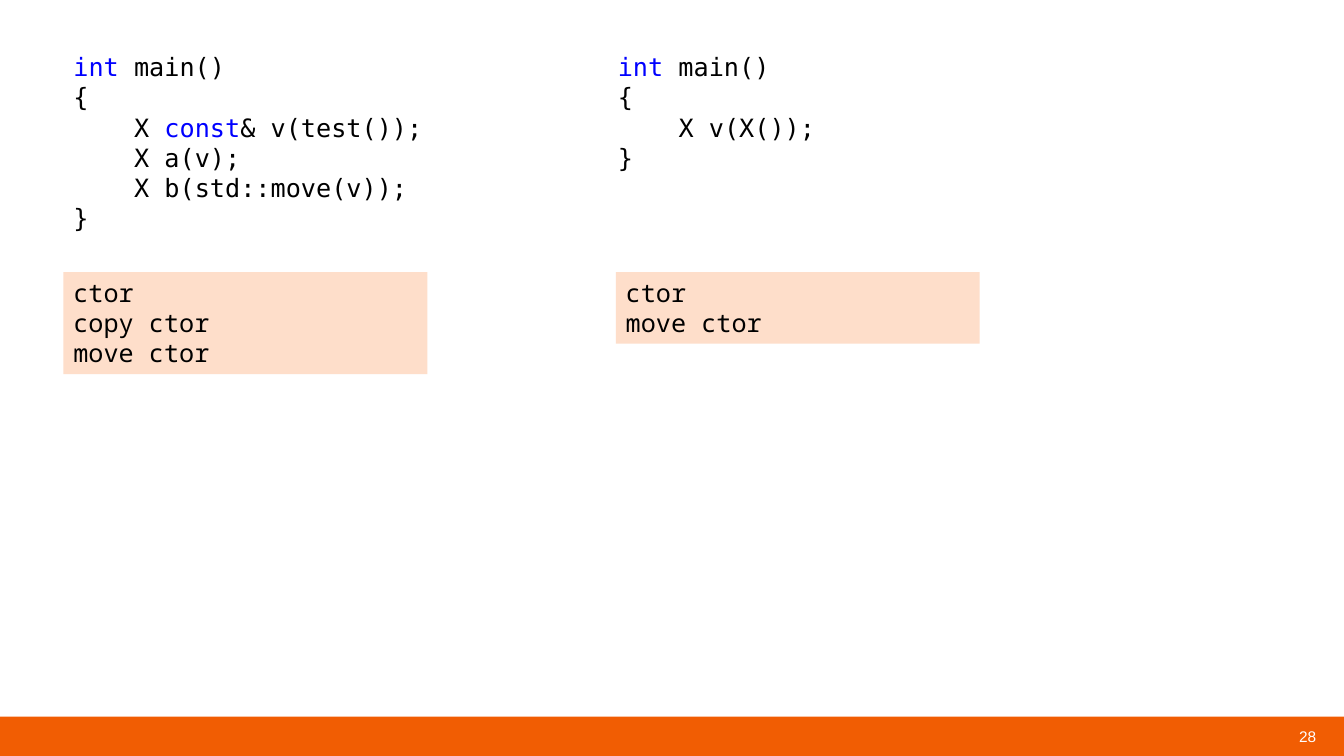
from pptx import Presentation
from pptx.dml.color import RGBColor
from pptx.enum.shapes import MSO_SHAPE
from pptx.enum.text import MSO_ANCHOR, MSO_AUTO_SIZE, PP_ALIGN
from pptx.util import Cm, Pt

RECT = MSO_SHAPE.RECTANGLE
TOP, MIDDLE = MSO_ANCHOR.TOP, MSO_ANCHOR.MIDDLE
LEFT, CENTER = PP_ALIGN.LEFT, PP_ALIGN.CENTER
FIT_SHAPE = MSO_AUTO_SIZE.SHAPE_TO_FIT_TEXT

ORANGE, PEACH = "F15D03", "FEDECA"
BLACK, WHITE, BLUE = "000000", "FFFFFF", "0000FF"
CODE_FONT, OUTPUT_FONT, NUMBER_FONT = "DejaVu Sans Mono", "Noto Sans Mono", "Arial"
KEYWORDS = ("int", "const")
INDENT = Cm(1.53)

LEFT_CODE = [
    (0, ["int", " main()"]),
    (0, ["{"]),
    (1, ["X ", "const", "& v(test());"]),
    (1, ["X a(v);"]),
    (1, ["X b(std::move(v));"]),
    (0, ["}"]),
]
RIGHT_CODE = [
    (0, ["int", " main()"]),
    (0, ["{"]),
    (1, ["X v(X());"]),
    (0, ["}"]),
]


def rgb(value):
    return RGBColor.from_string(value)


def style_run(r, font, size, color):
    r.font.name = font
    r.font.size = Pt(size)
    r.font.color.rgb = rgb(color)


def add_rect(slide, x, y, w, h, fill):
    sp = slide.shapes.add_shape(RECT, Cm(x), Cm(y), Cm(w), Cm(h))
    sp.shadow.inherit = False
    sp.fill.solid()
    sp.fill.fore_color.rgb = rgb(fill)
    sp.line.fill.background()
    return sp


def add_code(slide, x, y, w, h, lines):
    tf = slide.shapes.add_textbox(Cm(x), Cm(y), Cm(w), Cm(h)).text_frame
    tf.word_wrap = True
    tf.auto_size = FIT_SHAPE
    for i, (level, pieces) in enumerate(lines):
        p = tf.add_paragraph() if i else tf.paragraphs[0]
        if level:
            p._p.get_or_add_pPr().set("marL", str(level * INDENT))
        for piece in pieces:
            r = p.add_run()
            r.text = piece
            style_run(r, CODE_FONT, 18, BLUE if piece in KEYWORDS else BLACK)


def add_output(slide, x, y, w, h, lines):
    tf = add_rect(slide, x, y, w, h, PEACH).text_frame
    tf.word_wrap = True
    tf.auto_size = FIT_SHAPE
    tf.vertical_anchor = TOP
    tf.text = "\n".join(lines)
    for p in tf.paragraphs:
        p.alignment = LEFT
        style_run(p.runs[0], OUTPUT_FONT, 18, BLACK)


def add_footer(slide, number):
    add_rect(slide, 0, 18.06, 33.87, 0.99, ORANGE)
    tf = add_rect(slide, 32.56, 18.29, 0.79, 0.51, ORANGE).text_frame
    tf.margin_left = tf.margin_right = tf.margin_top = tf.margin_bottom = 0
    tf.vertical_anchor = MIDDLE
    tf.text = number
    p = tf.paragraphs[0]
    p.alignment = CENTER
    style_run(p.runs[0], NUMBER_FONT, 11, WHITE)


def main():
    prs = Presentation()
    prs.slide_width, prs.slide_height = Cm(33.87), Cm(19.05)
    slide = prs.slides.add_slide(prs.slide_layouts[6])
    add_footer(slide, "28")
    add_code(slide, 1.6, 1.17, 10.82, 4.88, LEFT_CODE)
    add_output(slide, 1.6, 6.86, 9.17, 2.57, ["ctor", "copy ctor", "move ctor"])
    add_code(slide, 15.32, 1.17, 16.92, 3.33, RIGHT_CODE)
    add_output(slide, 15.52, 6.86, 9.17, 1.8, ["ctor", "move ctor"])
    prs.save("out.pptx")


if __name__ == "__main__":
    main()
